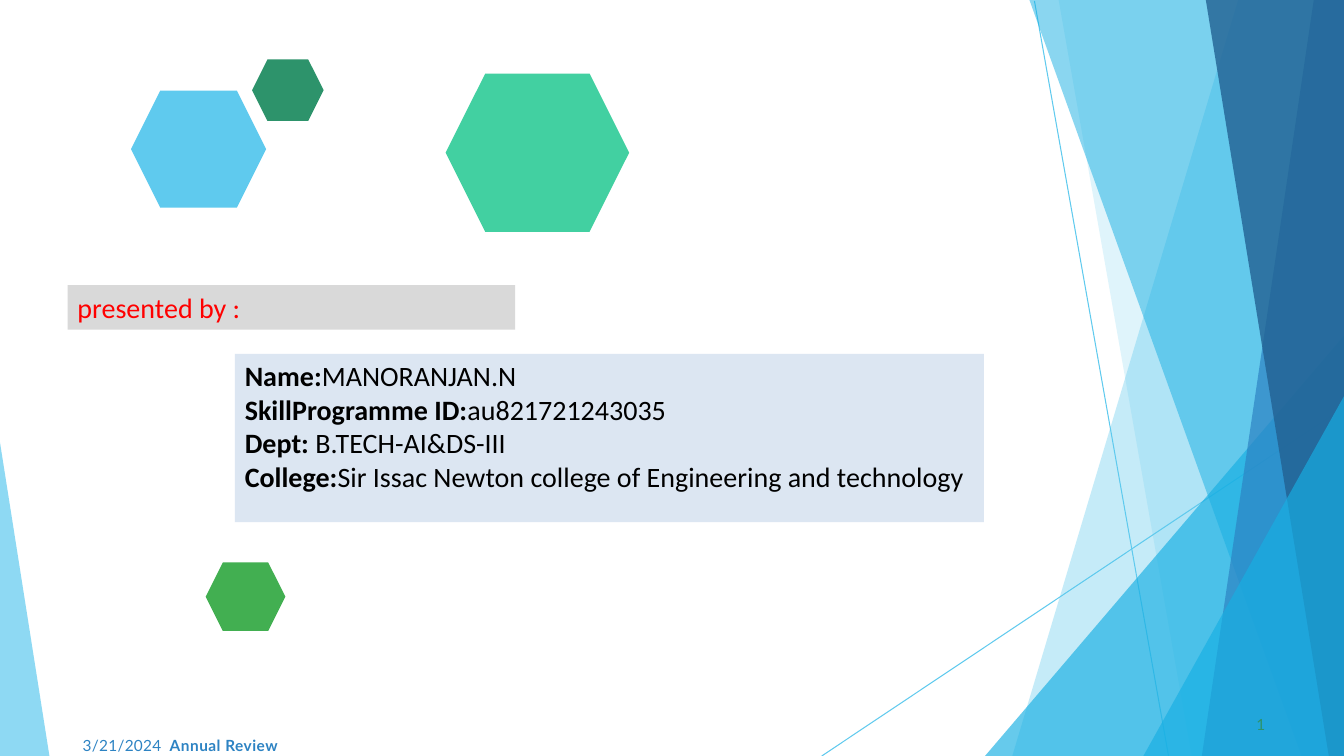
from lxml import etree
from pptx import Presentation
from pptx.dml.color import RGBColor
from pptx.enum import shapes, text
from pptx.oxml import ns
from pptx.util import Inches, Pt

COLORS = {
    "sky": "5FCAEE", "cyan": "17AFE3", "blue": "2D83C3", "navy": "226192",
    "pine": "2D936B", "mint": "42D0A1", "green": "42AF51", "red": "FF0000",
    "black": "000000", "grey": "D9D9D9", "pale": "DCE6F2",
}
WIDTH, HEIGHT = 13.33, 7.5

RAYS = [((10.26, 0.01), (11.59, HEIGHT)), ((WIDTH, 4.04), (8.15, HEIGHT))]
FACETS = [
    ("sky", 36, [(WIDTH, 0), (12.28, 0), (10.04, HEIGHT), (WIDTH, HEIGHT)]),
    ("sky", 20, [(WIDTH, 0), (10.5, 0), (11.82, HEIGHT), (WIDTH, HEIGHT)]),
    ("cyan", 66, [(WIDTH, 3.33), (9.77, HEIGHT), (WIDTH, HEIGHT)]),
    ("cyan", 50, [(WIDTH, 0), (10.21, 0), (12.91, HEIGHT), (WIDTH, HEIGHT)]),
    ("blue", 70, [(WIDTH, 0), (13.03, 0), (11.92, HEIGHT), (WIDTH, HEIGHT)]),
    ("navy", 80, [(WIDTH, 0), (11.96, 0), (13.18, HEIGHT), (WIDTH, HEIGHT)]),
    ("cyan", 66, [(WIDTH, 3.93), (11.34, HEIGHT), (WIDTH, HEIGHT)]),
    ("sky", 70, [(0, 4.39), (0, HEIGHT), (0.49, HEIGHT)]),
]
HEXAGONS = [
    ("sky", (1.3, 0.9, 1.34, 1.16)),
    ("pine", (2.5, 0.59, 0.71, 0.61)),
    ("mint", (4.42, 0.73, 1.82, 1.57)),
    ("green", (2.04, 5.58, 0.79, 0.68)),
]
DETAILS = [
    ("Name:", "MANORANJAN.N"),
    ("SkillProgramme ID:", "au821721243035"),
    ("Dept: ", "B.TECH-AI&DS-III"),
    ("College:", "Sir Issac Newton college of Engineering and technology"),
]


def rgb(color):
    """Return the named colour."""
    return RGBColor.from_string(COLORS[color])


def paint(shape, color):
    """Give a shape a flat fill with no outline or shadow."""
    shape.shadow.inherit = False
    shape.fill.solid()
    shape.fill.fore_color.rgb = rgb(color)
    shape.line.fill.background()


def add_ray(slide, start, end):
    """Draw a thin background line."""
    ray = slide.shapes.add_connector(
        shapes.MSO_CONNECTOR.STRAIGHT, *map(Inches, start + end))
    ray.line.color.rgb = rgb("sky")
    ray.line.width = Pt(0.75)
    etree.SubElement(ray._element.spPr, ns.qn("a:effectLst"))


def add_facet(slide, color, opacity, corners):
    """Draw a translucent background polygon."""
    points = [(Inches(x), Inches(y)) for x, y in corners]
    outline = slide.shapes.build_freeform(*points[0])
    outline.add_line_segments(points[1:], close=True)
    facet = outline.convert_to_shape()
    paint(facet, color)
    tint = facet._element.spPr.find(".//" + ns.qn("a:srgbClr"))
    etree.SubElement(tint, ns.qn("a:alpha"), val=str(opacity * 1000))


def add_preset(slide, kind, color, box):
    """Add a flat preset shape."""
    shape = slide.shapes.add_shape(kind, *map(Inches, box))
    paint(shape, color)
    return shape


def write(paragraph, runs, font, size, color, spacing=None):
    """Add (wording, bold) runs in one style to a paragraph."""
    paragraph.alignment = text.PP_ALIGN.LEFT
    style = {"name": font, "size": Pt(size)}
    for wording, bold in runs:
        run = paragraph.add_run()
        run.text = wording
        for key, value in {**style, "bold": bold}.items():
            setattr(run.font, key, value)
        run.font.color.rgb = rgb(color)
        if spacing is not None:
            run._r.get_or_add_rPr().set("spc", str(spacing))


def add_panel(slide, color, box, lines, ink):
    """Add a filled rectangle with one paragraph per line."""
    panel = add_preset(slide, shapes.MSO_SHAPE.RECTANGLE, color, box)
    frame = panel.text_frame
    frame.word_wrap = True
    frame.vertical_anchor = text.MSO_ANCHOR.TOP
    for index, runs in enumerate(lines):
        paragraph = frame.add_paragraph() if index else frame.paragraphs[0]
        write(paragraph, runs, "Calibri", 20, ink)


def add_footer(slide, box, indent):
    """Add a footer text box and return its paragraph."""
    frame = slide.shapes.add_textbox(*map(Inches, box)).text_frame
    margins = {
        "margin_left": Inches(indent), "margin_top": Inches(0.01),
        "margin_right": 0, "margin_bottom": 0, "word_wrap": True,
    }
    for key, value in margins.items():
        setattr(frame, key, value)
    return frame.paragraphs[0]


def main():
    """Build the title slide."""
    deck = Presentation()
    deck.slide_width, deck.slide_height = Inches(WIDTH), Inches(HEIGHT)
    slide = deck.slides.add_slide(deck.slide_layouts[6])
    for start, end in RAYS:
        add_ray(slide, start, end)
    for color, opacity, corners in FACETS:
        add_facet(slide, color, opacity, corners)
    for color, box in HEXAGONS:
        add_preset(slide, shapes.MSO_SHAPE.HEXAGON, color, box)

    review = add_footer(slide, (0.81, 7.29, 1.97, 0.21), 0.01)
    for wording, bold, spacing in [
            ("3/21/2024", False, 20), (" ", False, 280),
            ("Annual Review", True, 35)]:
        write(review, [(wording, bold)], "Lato", 11, "blue", spacing)
    number = add_footer(slide, (12.42, 7.08, 0.17, 0.21), 0.04)
    write(number, [("1", False)], "Lato", 11, "pine", 10)

    add_panel(slide, "grey", (0.67, 2.83, 4.44, 0.44),
              [[("presented by :", False)]], "red")
    add_panel(slide, "pale", (2.33, 3.51, 7.43, 1.67),
              [[(label, True), (value, False)] for label, value in DETAILS],
              "black")
    deck.save("out.pptx")


if __name__ == "__main__":
    main()
